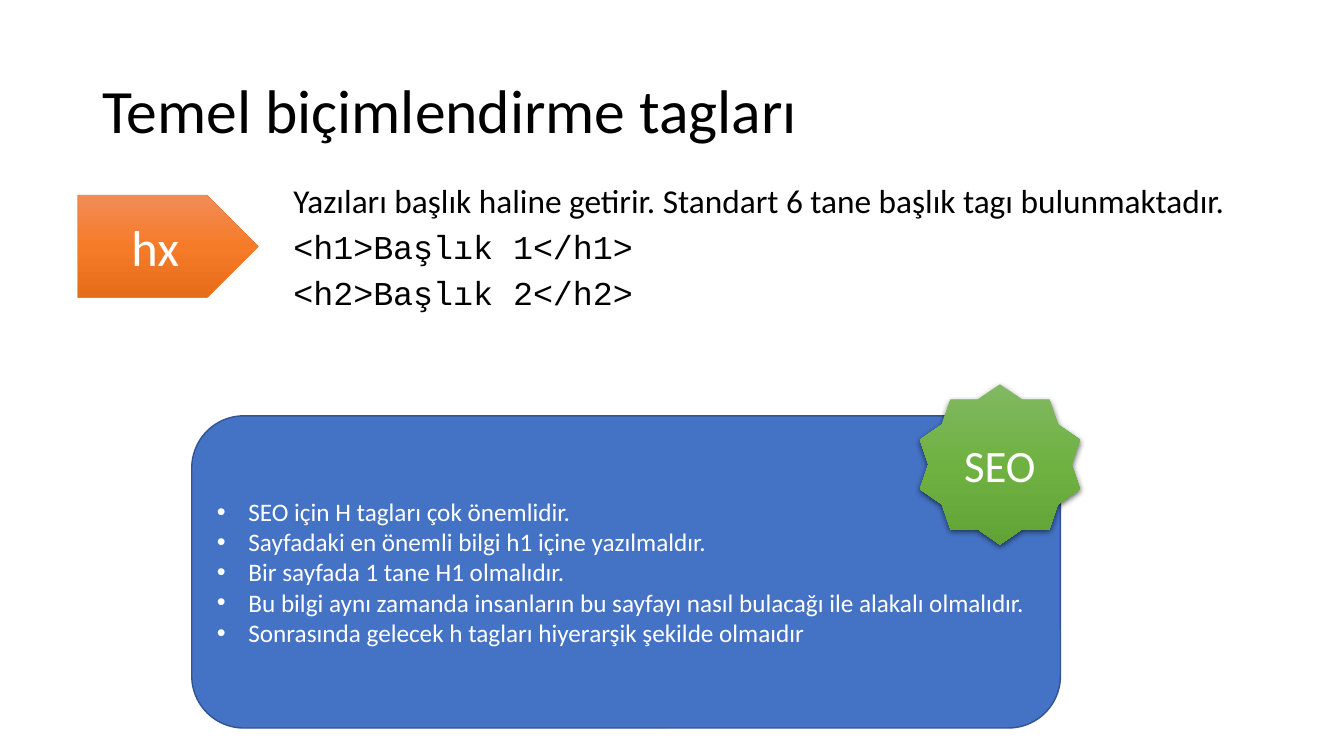
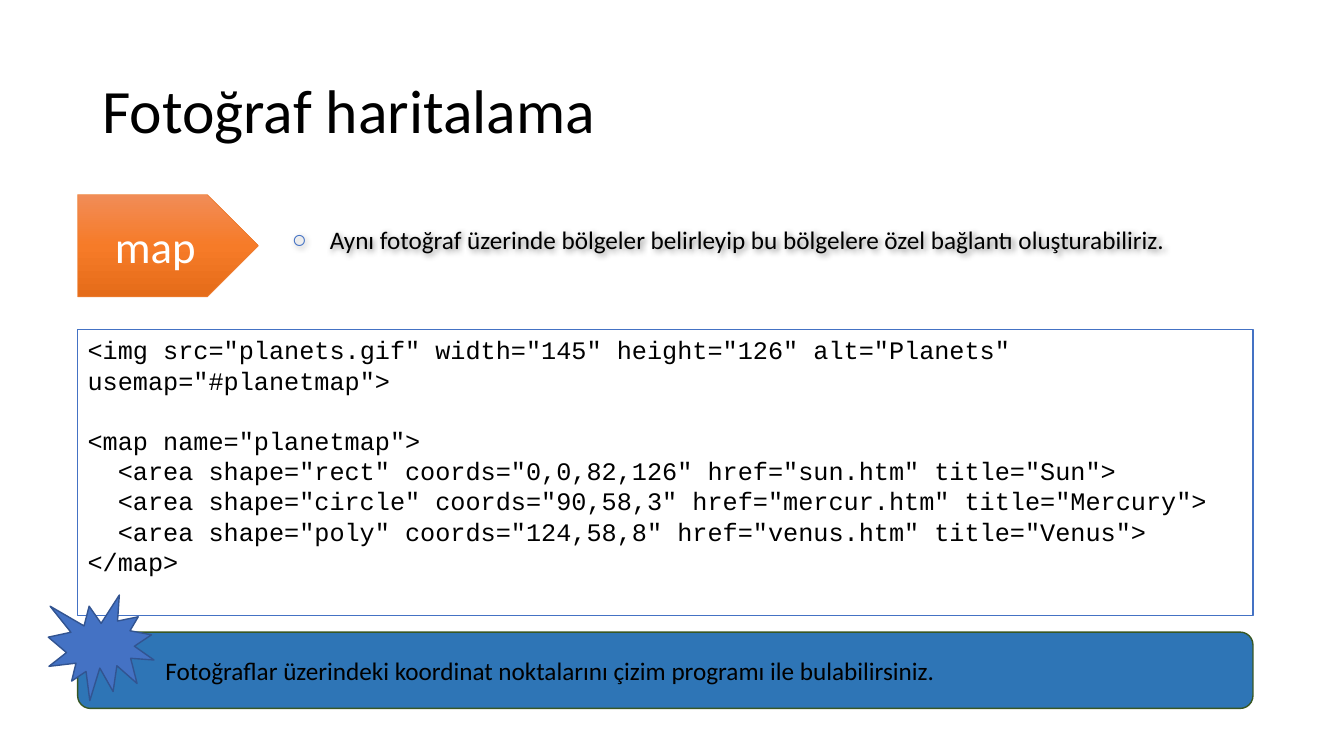
import copy

import pptx
import pptx.dml.color
import pptx.enum.shapes
import pptx.enum.text
import pptx.oxml
import pptx.oxml.ns
import pptx.util

Pt = pptx.util.Pt
SHAPE = pptx.enum.shapes.MSO_SHAPE
ANCHOR = pptx.enum.text.MSO_ANCHOR
ALIGN = pptx.enum.text.PP_ALIGN
qn = pptx.oxml.ns.qn

SLIDE_WIDTH, SLIDE_HEIGHT = 960, 540
TITLE_BOX = (66, 29, 828, 104.4)
TAG_SIZE = (129, 73)
MARGIN = 55.5
CONTENT_WIDTH = 839.5

SANS, MONO = "Calibri", "Courier New"
BLACK, WHITE = "000000", "FFFFFF"
BLUE, DARK_BLUE, TIP_BLUE = "4472C4", "325491", "2E75B6"
ORANGE, DARK_GREEN = "ED7D31", "385723"
ORANGE_STOPS = ("F18C57", "F67B28", "E56C19")
GREEN_STOPS = ("81B861", "6FB242", "62A336")

CODE_SIZE = 18
CODE_INDENT = 21.6
CODE_LINE = 21.5
CODE_LINES = [  # text, indent level, blank lines before
    ('<img src="planets.gif" width="145" height="126" alt="Planets"', 0, 0),
    ('usemap="#planetmap">', 0, 0),
    ('<map name="planetmap">', 0, 1),
    ('<area shape="rect" coords="0,0,82,126" href="sun.htm" title="Sun">', 1, 0),
    ('<area shape="circle" coords="90,58,3" href="mercur.htm" title="Mercury">', 1, 0),
    ('<area shape="poly" coords="124,58,8" href="venus.htm" title="Venus">', 1, 0),
    ("</map>", 0, 0),
]
SEO_NOTES = [
    "SEO için H tagları çok önemlidir.",
    "Sayfadaki en önemli bilgi h1 içine yazılmaldır.",
    "Bir sayfada 1 tane H1 olmalıdır.",
    "Bu bilgi aynı zamanda insanların bu sayfayı nasıl bulacağı ile alakalı olmalıdır.",
    "Sonrasında gelecek h tagları hiyerarşik şekilde olmaıdır",
]


def rgb(color):
    return pptx.dml.color.RGBColor.from_string(color)


def lengths(box):
    return [Pt(value) for value in box]


def add_paragraph(frame, text, size, font=SANS, color=BLACK):
    """Fill the first paragraph while it is empty, then append."""
    paragraph = frame.paragraphs[0]
    if paragraph.runs:
        paragraph = frame.add_paragraph()
    paragraph.alignment = ALIGN.LEFT
    run = paragraph.add_run()
    run.text = text
    run.font.size = Pt(size)
    run.font.name = font
    run.font.color.rgb = rgb(color)
    return paragraph


def set_indent(paragraph, left, hanging=0):
    properties = paragraph._p.get_or_add_pPr()
    properties.set("marL", str(int(Pt(left))))
    properties.set("indent", str(-int(Pt(hanging))))
    return properties


def add_bullet(paragraph, character, indent, color):
    properties = set_indent(paragraph, indent, indent)
    namespace = pptx.oxml.ns.nsdecls("a")
    for xml in (
        f'<a:buClr {namespace}><a:srgbClr val="{color}"/></a:buClr>',
        f'<a:buFont {namespace} typeface="Arial"/>',
        f'<a:buChar {namespace} char="{character}"/>',
    ):
        properties.append(pptx.oxml.parse_xml(xml))


def add_shadow(shape, opacity, blur, distance, direction):
    shape.shadow.inherit = False
    effects = shape._element.spPr.find(qn("a:effectLst"))
    effects.append(pptx.oxml.parse_xml(
        f'<a:outerShdw {pptx.oxml.ns.nsdecls("a")} blurRad="{int(Pt(blur))}" '
        f'dist="{int(Pt(distance))}" dir="{direction * 60000}" algn="ctr" rotWithShape="0">'
        f'<a:srgbClr val="{BLACK}"><a:alpha val="{opacity * 1000}"/></a:srgbClr>'
        "</a:outerShdw>"))


def fill_gradient(shape, colors):
    """Spread three colours evenly from top to bottom."""
    shape.fill.gradient()
    shape.fill.gradient_angle = 270
    stop_list = shape._element.spPr.find(qn("a:gradFill")).find(qn("a:gsLst"))
    stop_list.insert(1, copy.deepcopy(stop_list[0]))
    for index, (stop, color) in enumerate(zip(shape.fill.gradient_stops, colors)):
        stop.position = index / 2
        stop.color.rgb = rgb(color)


def add_shape(slide, kind, box, fill, line=None, line_width=1, anchor=ANCHOR.MIDDLE):
    """A string fills the shape plainly, a tuple with a gradient."""
    shape = slide.shapes.add_shape(kind, *lengths(box))
    shape.shadow.inherit = False
    if isinstance(fill, tuple):
        fill_gradient(shape, fill)
    else:
        shape.fill.solid()
        shape.fill.fore_color.rgb = rgb(fill)
    if line:
        shape.line.color.rgb = rgb(line)
        shape.line.width = Pt(line_width)
    else:
        shape.line.fill.background()
    shape.text_frame.word_wrap = True
    shape.text_frame.vertical_anchor = anchor
    return shape


def add_text_box(slide, box, anchor=ANCHOR.TOP):
    text_box = slide.shapes.add_textbox(*lengths(box))
    text_box.text_frame.word_wrap = True
    text_box.text_frame.vertical_anchor = anchor
    return text_box


def add_label(shape, text, size):
    add_paragraph(shape.text_frame, text, size, color=WHITE).alignment = ALIGN.CENTER


def add_titled_slide(presentation, title):
    slide = presentation.slides.add_slide(presentation.slide_layouts[6])
    frame = add_text_box(slide, TITLE_BOX, ANCHOR.MIDDLE).text_frame
    add_paragraph(frame, title, 44).line_spacing = 0.9
    return slide


def add_tag(slide, top, text, size):
    tag = add_shape(slide, SHAPE.PENTAGON, (MARGIN, top, *TAG_SIZE), ORANGE_STOPS, ORANGE, 0.5)
    add_label(tag, text, size)


def add_heading_examples(slide, box):
    frame = add_text_box(slide, box).text_frame
    for text, font in (
        ("Yazıları başlık haline getirir. Standart 6 tane başlık tagı bulunmaktadır.", SANS),
        ("<h1>Başlık 1</h1>", MONO),
        ("<h2>Başlık 2</h2>", MONO),
    ):
        paragraph = add_paragraph(frame, text, 23.8, font)
        paragraph.line_spacing = 0.8
        paragraph.space_before = Pt(10)


def add_seo_panel(slide, box):
    """Rounded panel of notes with a star over its top right corner."""
    left, top, width, height = box
    panel = add_shape(slide, SHAPE.ROUNDED_RECTANGLE, box, BLUE, DARK_BLUE)
    for note in SEO_NOTES:
        paragraph = add_paragraph(panel.text_frame, note, 18, color=WHITE)
        add_bullet(paragraph, "•", 22.5, WHITE)
    star_size = 114.5
    star_box = (left + width - 100.5, top - 22.5, star_size, star_size)
    star = add_shape(slide, SHAPE.STAR_10_POINT, star_box, GREEN_STOPS)
    add_shadow(star, 63, 4.5, 1.5, 90)
    add_label(star, "SEO", 32)


def add_map_description(slide, box):
    text_box = add_text_box(slide, box)
    paragraph = add_paragraph(
        text_box.text_frame,
        "Aynı fotoğraf üzerinde bölgeler belirleyip bu bölgelere özel bağlantı oluşturabiliriz.",
        18)
    paragraph.space_before = Pt(3.6)
    paragraph.space_after = Pt(6)
    add_bullet(paragraph, "○", 27, BLUE)
    add_shadow(text_box, 43, 4, 1.5, 45)


def add_code_panel(slide, box):
    panel = add_shape(slide, SHAPE.RECTANGLE, box, WHITE, BLUE, anchor=ANCHOR.TOP)
    for text, level, blank_lines in CODE_LINES:
        paragraph = add_paragraph(panel.text_frame, text, CODE_SIZE, MONO)
        set_indent(paragraph, level * CODE_INDENT)
        paragraph.space_before = Pt(blank_lines * CODE_LINE)


def add_tip(slide, box):
    """Rounded bar with a burst over its top left corner."""
    left, top, width, height = box
    bar = add_shape(slide, SHAPE.ROUNDED_RECTANGLE, box, TIP_BLUE, DARK_GREEN)
    bar.text_frame.margin_left = Pt(60)
    add_paragraph(
        bar.text_frame,
        "Fotoğraflar üzerindeki koordinat noktalarını çizim programı ile bulabilirsiniz.", 18)
    burst_size = 75.5
    burst_box = (left - 21, top - 26.5, burst_size, burst_size)
    add_shape(slide, SHAPE.EXPLOSION1, burst_box, BLUE, DARK_BLUE)


def build_heading_slide(presentation):
    slide = add_titled_slide(presentation, "Temel biçimlendirme tagları")
    add_heading_examples(slide, (202.5, 131, 693, 102))
    add_tag(slide, 139.5, "hx", 36)
    add_seo_panel(slide, (137, 297, 620.5, 223))


def build_map_slide(presentation):
    slide = add_titled_slide(presentation, "Fotoğraf haritalama")
    add_map_description(slide, (201.5, 157, 694, 64))
    add_tag(slide, 139, "map", 32)
    add_code_panel(slide, (MARGIN, 235.5, CONTENT_WIDTH, 204))
    add_tip(slide, (MARGIN, 451.5, CONTENT_WIDTH, 54.5))


def main():
    presentation = pptx.Presentation()
    presentation.slide_width = Pt(SLIDE_WIDTH)
    presentation.slide_height = Pt(SLIDE_HEIGHT)
    build_heading_slide(presentation)
    build_map_slide(presentation)
    presentation.save("out.pptx")


if __name__ == "__main__":
    main()
